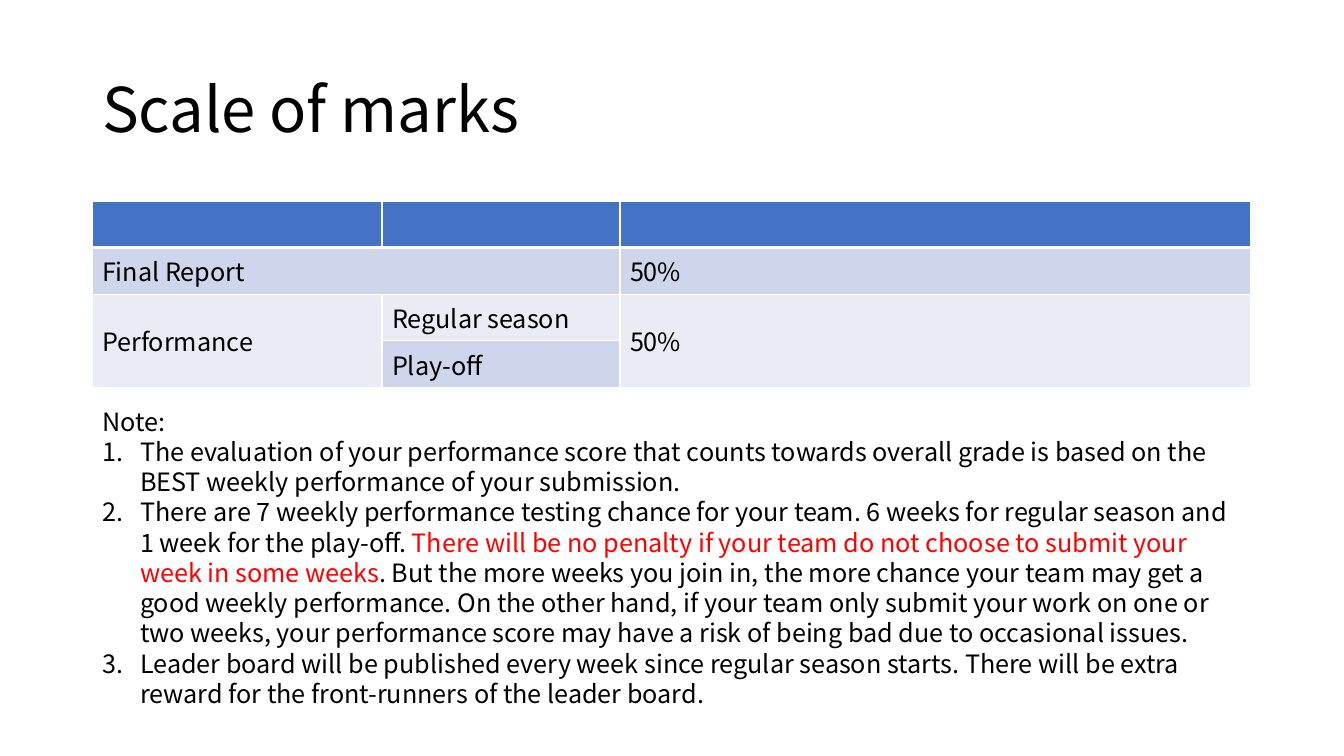
import pptx
import pptx.dml.color
import pptx.enum.text
import pptx.util
from dataclasses import dataclass
from lxml import etree

PX = 914400 / 100.8


@dataclass(frozen=True)
class Theme:
    font: str = "Noto Sans CJK SC"
    title_size: int = 44
    text_size: int = 18
    text: str = "000000"
    alert: str = "FF0000"
    header: str = "4472C4"
    band_dark: str = "CFD5EA"
    band_light: str = "E9EBF5"
    border: str = "FFFFFF"


THEME = Theme()

MARKS = [
    ["", "", ""],
    ["Final Report", "", "50%"],
    ["Performance", "Regular season", "50%"],
    ["", "Play-off", ""],
]
MERGES = [((1, 0), (1, 1)), ((2, 0), (3, 0)), ((2, 2), (3, 2))]
ROW_FILLS = [THEME.header, THEME.band_dark, THEME.band_light, THEME.band_dark]

# Each rule is a list of (text, colour) runs
RULES = [
    [("The evaluation of your performance score that counts towards overall grade "
      "is based on the BEST weekly performance of your submission.", THEME.text)],
    [("There are 7 weekly performance testing chance for your team. 6 weeks for "
      "regular season and 1 week for the play-off. ", THEME.text),
     ("There will be no penalty if your team do not choose to submit your week in "
      "some weeks", THEME.alert),
     (". But the more weeks you join in, the more chance your team may get a good "
      "weekly performance. On the other hand, if your team only submit your work on "
      "one or two weeks, your performance score may have a risk of being bad due to "
      "occasional issues.", THEME.text)],
    [("Leader board will be published every week since regular season starts. There "
      "will be extra reward for the front-runners of the leader board.", THEME.text)],
]


def px(length):
    return pptx.util.Emu(round(length * PX))


def color(value):
    return pptx.dml.color.RGBColor.from_string(value)


def place(shape, box):
    shape.left, shape.top, shape.width, shape.height = map(px, box)


def set_font(font, size):
    font.name = THEME.font
    font.size = pptx.util.Pt(size)
    font.bold = False
    font.color.rgb = color(THEME.text)


def set_bullet(paragraph, numbered, indent):
    properties = paragraph._p.get_or_add_pPr()
    properties.set("marL", str(px(indent)))
    properties.set("indent", str(-px(indent)))
    tag = "a:buAutoNum" if numbered else "a:buNone"
    bullet = etree.Element(pptx.oxml.ns.qn(tag))
    if numbered:
        bullet.set("type", "arabicPeriod")
    properties.insert_element_before(bullet, "a:tabLst", "a:defRPr", "a:extLst")


def set_borders(cell, top, bottom):
    """Border widths are in points; the sides are always 1 point."""
    properties = cell._tc.get_or_add_tcPr()
    qn = pptx.oxml.ns.qn
    widths = {"a:lnL": 1, "a:lnR": 1, "a:lnT": top, "a:lnB": bottom}
    for position, (tag, width) in enumerate(widths.items()):
        line = etree.Element(qn(tag), w=str(pptx.util.Pt(width)))
        fill = etree.SubElement(line, qn("a:solidFill"))
        etree.SubElement(fill, qn("a:srgbClr"), val=THEME.border)
        properties.insert(position, line)


def add_title(slide, box):
    title = slide.shapes.title
    place(title, box)
    frame = title.text_frame
    frame.text = "Scale of marks"
    frame.auto_size = pptx.enum.text.MSO_AUTO_SIZE.NONE
    frame.vertical_anchor = pptx.enum.text.MSO_ANCHOR.MIDDLE
    paragraph = frame.paragraphs[0]
    paragraph.alignment = pptx.enum.text.PP_ALIGN.LEFT
    paragraph.line_spacing = 0.9
    set_font(paragraph.font, THEME.title_size)


def add_marks_table(slide, box, column_widths):
    frame = slide.shapes.add_table(len(MARKS), len(column_widths), *map(px, box))
    table = frame.table
    for column, width in zip(table.columns, column_widths):
        column.width = px(width)
    for row, (texts, fill) in enumerate(zip(MARKS, ROW_FILLS)):
        for column, text in enumerate(texts):
            cell = table.cell(row, column)
            cell.text = text
            cell.fill.solid()
            cell.fill.fore_color.rgb = color(fill)
            # A heavy rule divides the header from the marks
            set_borders(cell, top=3 if row == 1 else 1, bottom=3 if row == 0 else 1)
            set_font(cell.text_frame.paragraphs[0].font, THEME.text_size)
    for first, last in MERGES:
        cell = table.cell(*first)
        cell.merge(table.cell(*last))
        if last[0] > first[0]:
            cell.vertical_anchor = pptx.enum.text.MSO_ANCHOR.MIDDLE


def add_notes_list(slide, box):
    body = slide.placeholders[1]
    place(body, box)
    frame = body.text_frame
    frame.auto_size = pptx.enum.text.MSO_AUTO_SIZE.NONE
    frame.word_wrap = True
    for index, runs in enumerate([[("Note:", THEME.text)]] + RULES):
        paragraph = frame.paragraphs[0] if index == 0 else frame.add_paragraph()
        paragraph.space_before = pptx.util.Pt(0)
        paragraph.line_spacing = 1.0
        set_font(paragraph.font, THEME.text_size)
        set_bullet(paragraph, numbered=index > 0, indent=38 if index else 0)
        for text, run_color in runs:
            run = paragraph.add_run()
            run.text = text
            if run_color != THEME.text:
                run.font.color.rgb = color(run_color)


def main():
    presentation = pptx.Presentation()
    presentation.slide_width = px(1344)
    presentation.slide_height = px(756)
    slide = presentation.slides.add_slide(presentation.slide_layouts[1])
    left, width = 92, 1159
    add_title(slide, (left, 40, width, 146))
    add_marks_table(slide, (left, 201, width, 184), (290, 238, 631))
    add_notes_list(slide, (left, 401, width, 316))
    presentation.save("out.pptx")


if __name__ == "__main__":
    main()
